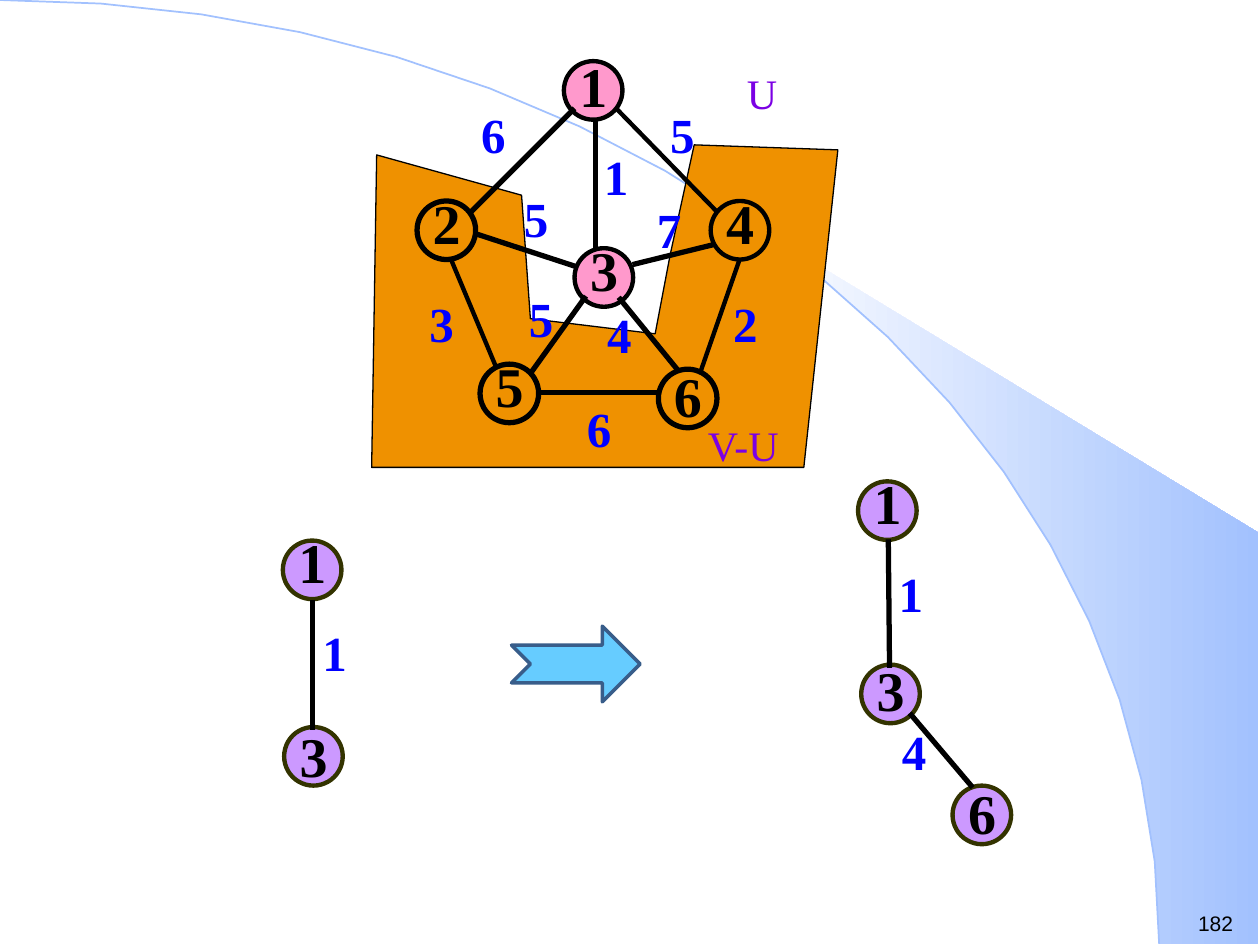
"""Build the slide showing one step of growing a minimum spanning tree."""
import math

from lxml import etree
from pptx import Presentation, util as u
from pptx.dml.color import RGBColor
from pptx.enum import shapes, text
from pptx.oxml import ns

prs = Presentation()
prs.slide_width, prs.slide_height = u.Inches(10), u.Inches(7.5)
col, row = prs.slide_width // 100, prs.slide_height // 75
s = prs.slides.add_slide(prs.slide_layouts[6])
rgb = RGBColor.from_string


def write(content, x, y, width=5, size=28, color="0000FF", font="Times New Roman",
          bold=True, align="LEFT"):
    sp = s.shapes.add_textbox(int(x * col), int(y * row), int(width * col),
                              int((1 + size / 6) * row))
    tf = sp.text_frame
    tf.word_wrap = True
    p = tf.paragraphs[0]
    p.alignment = text.PP_ALIGN[align]
    r = p.add_run()
    r.text = content
    r.font.size, r.font.name, r.font.bold = u.Pt(size), font, bold
    r.font.color.rgb = rgb(color)


def outline(points, close):
    (x, y), *rest = [(int(x * col), int(y * row)) for x, y in points]
    fb = s.shapes.build_freeform(x, y)
    fb.add_line_segments(rest, close=close)
    sp = fb.convert_to_shape()
    sp.shadow.inherit = False
    return sp


arc = [(92 * math.sin(math.radians(a)), 74.9 * (1 - math.cos(math.radians(a))))
       for a in range(0, 91, 5)]
sp = outline(arc[8:] + [(99.9, 74.9), (99.9, 42.3)], True)
sp.line.fill.background()
sp.fill.gradient()
sp.fill.gradient_angle = 0
for i, (stop, color) in enumerate(zip(sp.fill.gradient_stops, ("FFFFFF", "A2C1FE"))):
    stop.color.rgb, stop.position = rgb(color), i

sp = outline(arc, False)
sp.fill.background()
sp.line.color.rgb, sp.line.width = rgb("A2C1FE"), u.Pt(1)

sp = outline([(29.9, 12.3), (41.4, 15.5), (42.1, 25.3), (52, 26.5), (53.2, 20.2),
              (55.1, 11.5), (66.5, 11.9), (63.8, 37.1), (29.5, 37.1)], True)
sp.fill.solid()
sp.fill.fore_color.rgb = rgb("EF9100")
sp.line.color.rgb, sp.line.width = rgb("000000"), u.Pt(0.75)

graph, tree, rest = ("FF99CC", "000000"), ("CC99FF", "333300"), (None, "000000")
nodes = [
    ("1", 44.75, 4.85, 3.6, graph, 2.5), ("2", 33.1, 15.95, 14.5, rest, 3),
    ("3", 45.6, 19.7, 18.2, graph, 2.5), ("4", 56.4, 15.95, 14.5, rest, 2.5),
    ("5", 38.1, 28.9, 27.4, rest, 3), ("6", 52.25, 29.3, 28.2, rest, 3),
    ("1", 22.45, 42.9, 41.4, tree, 2.5), ("3", 22.55, 57.7, 56.8, tree, 2.5),
    ("1", 68.1, 38.2, 36.7, tree, 2.5), ("3", 68.35, 52.75, 51.5, tree, 2.5),
    ("6", 75.6, 62.35, 61.3, tree, 2.5),
]
for name, x, y, name_y, (fill, line), width in nodes:
    sp = s.shapes.add_shape(shapes.MSO_SHAPE.OVAL, int(x * col), int(y * row),
                            int(4.65 * col), int(4.65 * row))
    sp.shadow.inherit = False
    if fill:
        sp.fill.solid()
        sp.fill.fore_color.rgb = rgb(fill)
    else:
        sp.fill.background()
    sp.line.color.rgb, sp.line.width = rgb(line), u.Pt(width)
    write(name, x + 0.25, name_y, width=3.4, size=32, color="000000", align="CENTER")

edges = [
    (45.6, 8.6, 37.2, 17, 3), (48.9, 8.6, 56.9, 16.8, 2.5), (47.25, 9.5, 47.25, 19.7, 3),
    (37.9, 18.6, 45.7, 21.15, 3), (50.2, 21, 56.7, 19.4, 3), (35.8, 20.6, 39.4, 29.2, 2.5),
    (46.5, 23.5, 42.2, 29.5, 3), (49.1, 23.6, 53.9, 29.5, 3), (58.7, 20.6, 55.6, 29.5, 2.5),
    (42.9, 31.15, 52.2, 31.15, 3), (24.8, 47.6, 24.8, 57.9, 3),
    (70.5, 42.8, 70.6, 53, 3), (72.2, 56.6, 77.2, 62.5, 3),
]
for x1, y1, x2, y2, width in edges:
    c = s.shapes.add_connector(shapes.MSO_CONNECTOR.STRAIGHT, int(x1 * col), int(y1 * row),
                               int(x2 * col), int(y2 * row))
    c.line.color.rgb, c.line.width = rgb("000000"), u.Pt(width)
    etree.SubElement(c.line._get_or_add_ln().getparent(), ns.qn("a:effectLst"))

weights = [
    ("6", 37.2, 7.8), ("5", 52.2, 7.8), ("5", 40.6, 14.5), ("3", 33.1, 22.8),
    ("5", 41, 22.4), ("4", 47.2, 23.65), ("2", 57.2, 22.8), ("6", 45.6, 31.1),
    ("4", 70.6, 56.75),
]
for weight, x, y in weights:
    write(weight, x, y)
for weight, x, y in [("1", 46.4, 11.1), ("7", 50.6, 15.35), ("1", 69.8, 44.2), ("1", 24.05, 48.9)]:
    write(weight, x, y, align="CENTER")
for area, x, y, width in [("U", 58.3, 4.85, 6.7), ("V-U", 55.2, 32.8, 9.8)]:
    write(area, x, y, width=width, size=24, color="7B00E4", bold=False)
write("182", 94.1, 71.8, width=5.9, size=12, color="000000", font="Arial", bold=False)

sp = s.shapes.add_shape(shapes.MSO_SHAPE.NOTCHED_RIGHT_ARROW, int(40.6 * col), int(49.7 * row),
                        int(10.2 * col), 6 * row)
sp.shadow.inherit = False
sp.fill.solid()
sp.fill.fore_color.rgb = rgb("66CCFF")
sp.line.color.rgb, sp.line.width = rgb("385D8A"), u.Pt(2)

prs.save("out.pptx")
